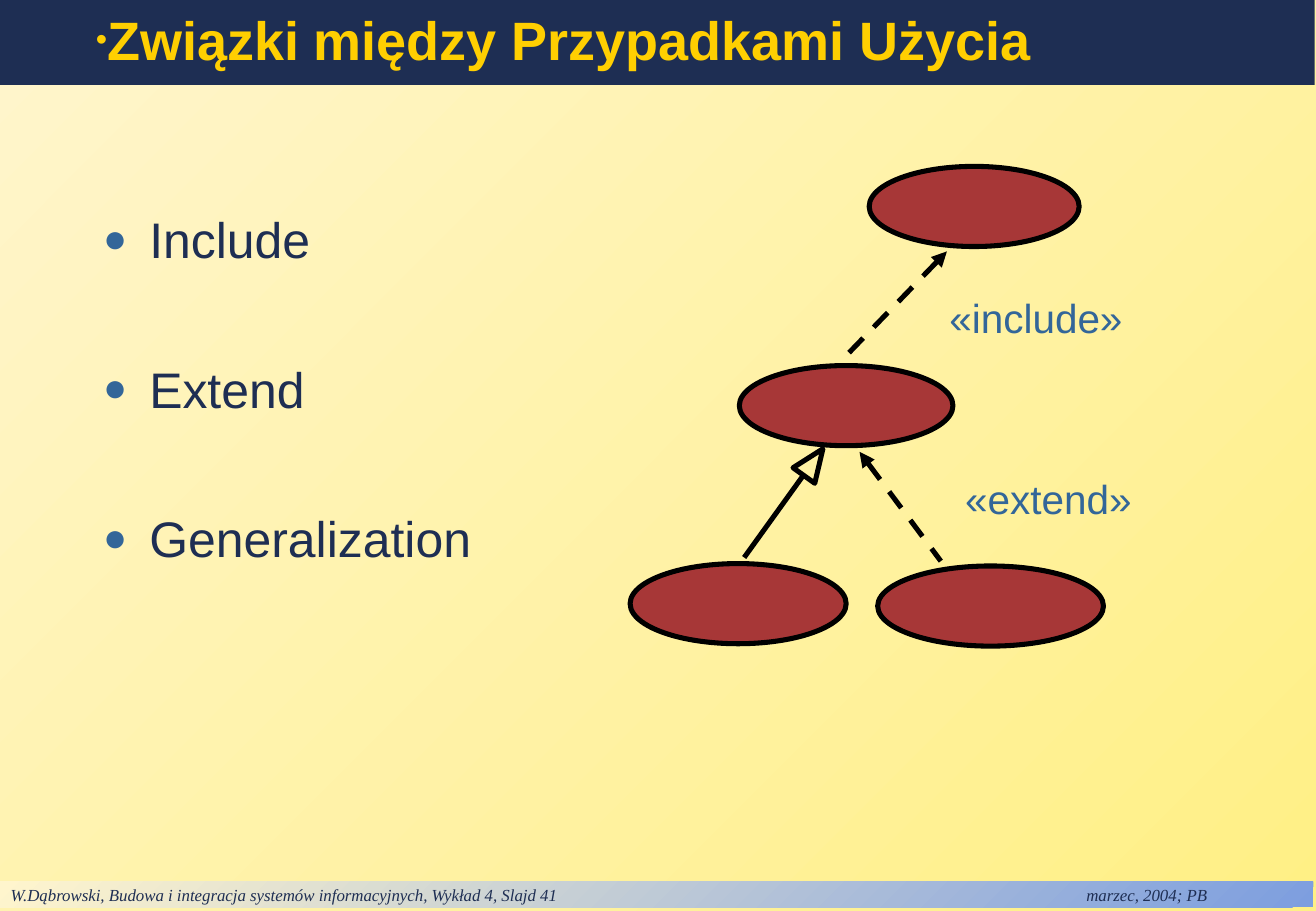
from lxml import etree
from pptx import Presentation
from pptx.dml.color import RGBColor
from pptx.enum.dml import MSO_LINE
from pptx.enum.shapes import MSO_CONNECTOR, MSO_SHAPE
from pptx.enum.text import MSO_ANCHOR, MSO_AUTO_SIZE, PP_ALIGN
from pptx.oxml.ns import qn
from pptx.util import Inches, Pt

RECTANGLE, OVAL = MSO_SHAPE.RECTANGLE, MSO_SHAPE.OVAL
TRIANGLE = MSO_SHAPE.ISOSCELES_TRIANGLE
STRAIGHT, DASH = MSO_CONNECTOR.STRAIGHT, MSO_LINE.DASH
TOP, MIDDLE, LEFT = MSO_ANCHOR.TOP, MSO_ANCHOR.MIDDLE, PP_ALIGN.LEFT
NO_FIT = MSO_AUTO_SIZE.NONE

NAVY, GOLD, BLUE = "1E2E53", "FFCF01", "336699"
RED, BLACK = "A73737", "000000"
CREAM, YELLOW, SKY = "FFF5CD", "FFF085", "7D9EDF"
SANS, SERIF = "Arial", "Times New Roman"


def color(value):
    return RGBColor.from_string(value)


def add_element(parent, tag, **attributes):
    return etree.SubElement(parent, qn(tag), attributes)


class UseCaseSlide:
    """Holds the style and the slide being built."""

    line_width = Pt(3)

    def __init__(self, deck):
        self.page = deck.slides.add_slide(deck.slide_layouts[1])
        self.shapes = self.page.shapes
        self.gradient(self.page.background.fill, YELLOW, CREAM)

    def gradient(self, fill, start, end):
        """Blend from the lower right corner to the upper left one."""
        fill.gradient()
        fill.gradient_angle = 135
        for stop, value in zip(fill.gradient_stops, (start, end)):
            stop.color.rgb = color(value)

    def place(self, box, left, top, width, height):
        box.left, box.top = Inches(left), Inches(top)
        box.width, box.height = Inches(width), Inches(height)

    def frame(self, box, margins, anchor=TOP, wrap=True):
        frame = box.text_frame
        frame.auto_size = NO_FIT
        frame.word_wrap = wrap
        frame.vertical_anchor = anchor
        (frame.margin_left, frame.margin_top,
         frame.margin_right, frame.margin_bottom) = map(Inches, margins)
        return frame

    def format(self, para, size, value, name=SANS, bold=False, italic=False):
        para.alignment = LEFT
        for span in para.runs:
            font = span.font
            font.size, font.name = Pt(size), name
            font.bold, font.italic = bold, italic
            font.color.rgb = color(value)

    def bullet(self, para, symbol, value, percent, margin, indent):
        properties = para._p.get_or_add_pPr()
        properties.set("marL", str(Inches(margin)))
        properties.set("indent", str(Inches(indent)))
        add_element(add_element(properties, "a:buClr"), "a:srgbClr", val=value)
        add_element(properties, "a:buSzPct", val=str(percent * 1000))
        add_element(properties, "a:buFont", typeface=SANS)
        add_element(properties, "a:buChar", char=symbol)

    def title(self, text):
        box = self.shapes.title
        self.place(box, 0, 0, 10.83, 0.7)
        box.fill.solid()
        box.fill.fore_color.rgb = color(NAVY)
        frame = self.frame(box, (0.1, 0.05, 0.1, 0.05), MIDDLE)
        frame.text = text
        para = frame.paragraphs[0]
        para.line_spacing = 0.9
        self.bullet(para, "•", GOLD, 60, 0.29, 0.4)
        self.format(para, 32, GOLD, bold=True)

    def body(self, items):
        box = self.page.placeholders[1]
        self.place(box, 0.75, 1.01, 3.68, 3.73)
        frame = self.frame(box, (0.1, 0.71, 0.1, 0.05))
        frame.text = "\n".join(items)
        for index, para in enumerate(frame.paragraphs):
            para.space_before = Pt(53 if index else 0)
            self.bullet(para, "●", BLUE, 80, 0.38, -0.38)
            self.format(para, 29.6, NAVY)

    def shape(self, kind, left, top, width, height):
        box = self.shapes.add_shape(kind, Inches(left), Inches(top),
                                    Inches(width), Inches(height))
        box.shadow.inherit = False
        return box

    def outline(self, line):
        line.color.rgb = color(BLACK)
        line.width = self.line_width

    def footer(self, text, tab):
        box = self.shape(RECTANGLE, -0.01, 7.26, 10.83, 0.21)
        self.gradient(box.fill, SKY, CREAM)
        box.line.fill.background()
        frame = self.frame(box, (0.1, 0.02, 0.1, 0))
        frame.text = text
        para = frame.paragraphs[0]
        tabs = add_element(para._p.get_or_add_pPr(), "a:tabLst")
        add_element(tabs, "a:tab", pos=str(Inches(tab)), algn="l")
        self.format(para, 10, NAVY, SERIF, italic=True)

    def use_case(self, left, top, width):
        oval = self.shape(OVAL, left, top, width, 0.66)
        oval.fill.solid()
        oval.fill.fore_color.rgb = color(RED)
        self.outline(oval.line)

    def link(self, tip, end):
        connector = self.shapes.add_connector(
            STRAIGHT, *map(Inches, (*tip, *end)))
        self.outline(connector.line)
        add_element(connector._element.spPr, "a:effectLst")
        return connector

    def dependency(self, tip, end):
        """Dashed arrow with a filled head at the tip."""
        line = self.link(tip, end).line
        line.dash_style = DASH
        add_element(line._get_or_add_ln(), "a:headEnd", type="triangle")

    def generalization(self, tip, end):
        """Solid line with a hollow triangle as its head."""
        self.link(tip, end)
        head = self.shape(TRIANGLE, 6.59, 3.67, 0.22, 0.27)
        head.rotation = 35.5
        head.fill.background()
        self.outline(head.line)

    def label(self, text, left, top, width):
        box = self.shapes.add_textbox(Inches(left), Inches(top),
                                      Inches(width), Inches(0.52))
        frame = self.frame(box, (0.12, 0.06, 0.12, 0.06), wrap=False)
        frame.text = text
        self.format(frame.paragraphs[0], 24, BLUE)


def main():
    deck = Presentation()
    deck.slide_width, deck.slide_height = Inches(10.84), Inches(7.5)
    slide = UseCaseSlide(deck)
    slide.footer("W.Dąbrowski, Budowa i integracja systemów informacyjnych, "
                 "Wykład 4, Slajd 41\tmarzec, 2004; PB", 8.86)
    slide.title("Związki między Przypadkami Użycia")
    slide.body(["Include", "Extend", "Generalization"])

    for left, top, width in ((6.09, 3.01, 1.76), (5.19, 4.64, 1.78),
                             (7.16, 1.37, 1.73), (7.23, 4.66, 1.86)):
        slide.use_case(left, top, width)

    slide.dependency((7.08, 3.72), (7.75, 4.62))
    slide.dependency((7.8, 2.07), (6.93, 2.97))
    slide.label("«include»", 7.7, 2.35, 1.66)
    slide.label("«extend»", 7.83, 3.84, 1.61)
    slide.generalization((6.62, 3.91), (6.13, 4.59))
    deck.save("out.pptx")


if __name__ == "__main__":
    main()
